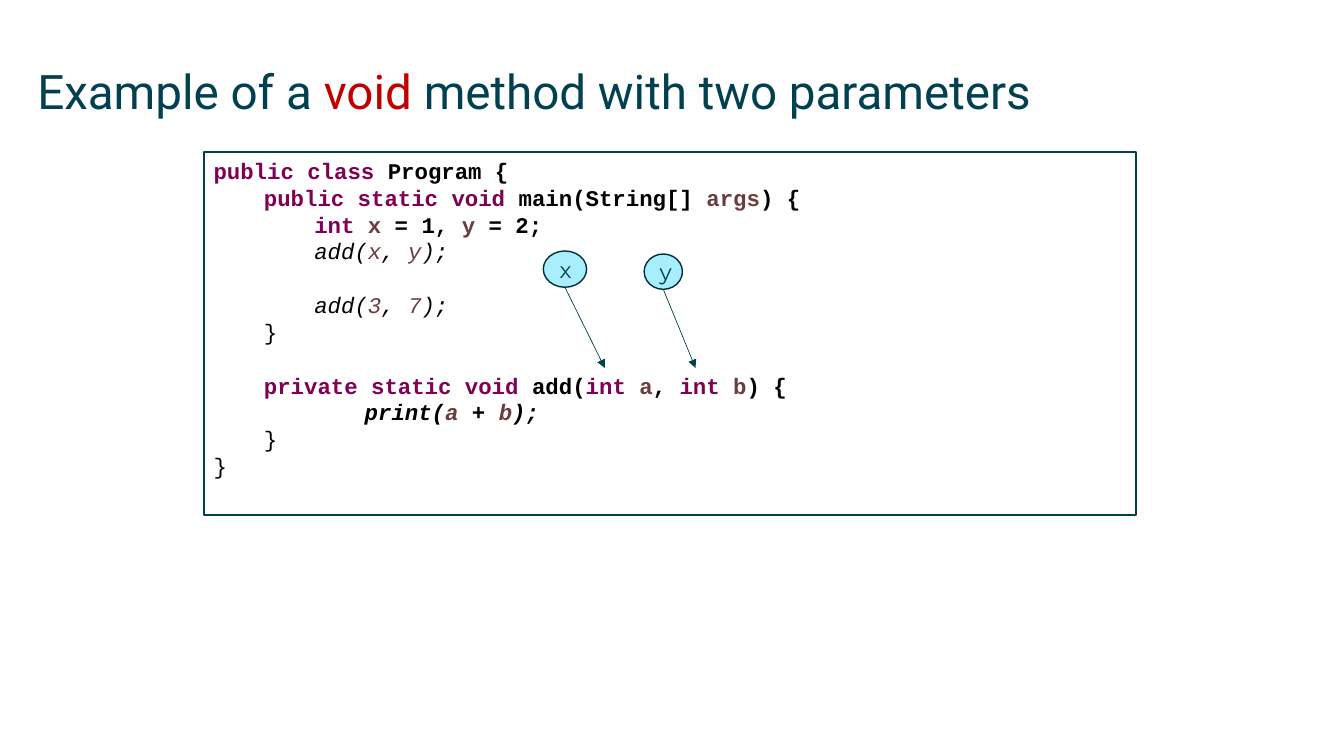
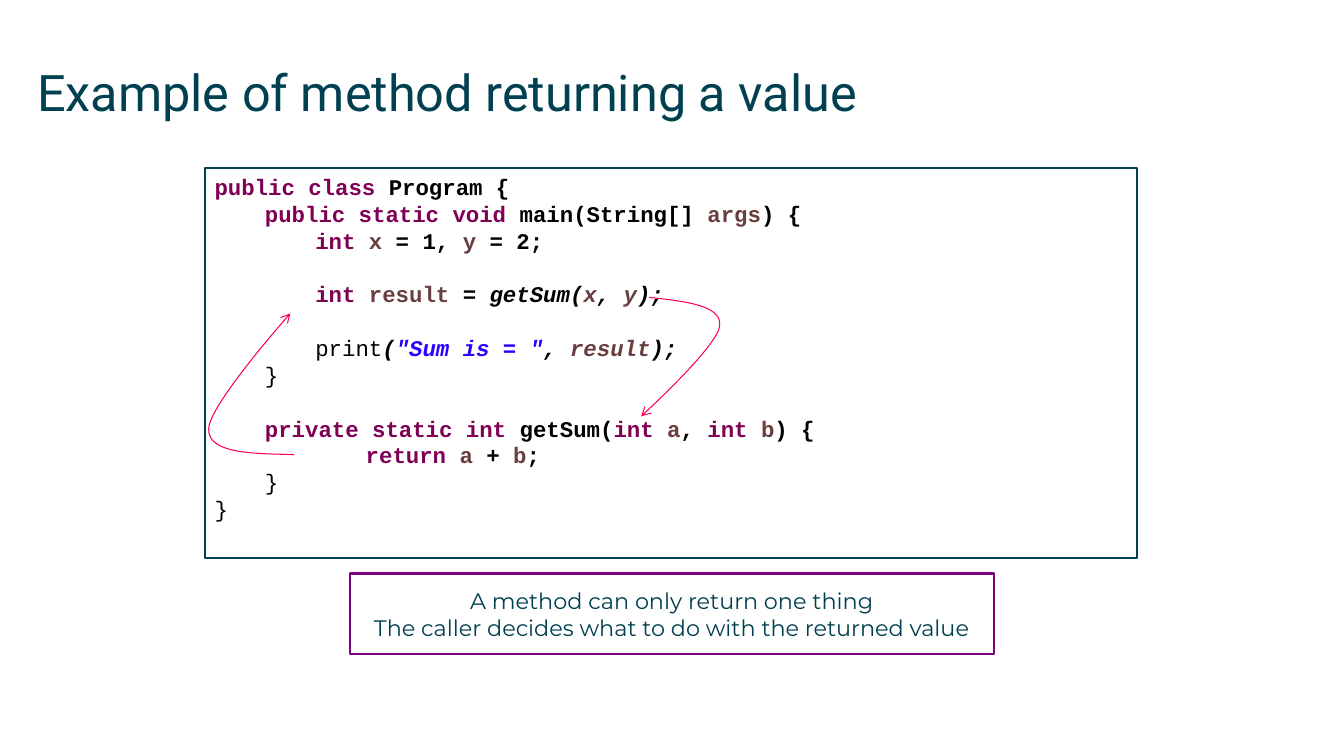
from dataclasses import dataclass

from lxml import etree
from pptx import Presentation
from pptx.dml.color import RGBColor
from pptx.enum import shapes, text
from pptx.oxml.ns import qn
from pptx.util import Pt


@dataclass(frozen=True)
class Theme:
    ink: str = "004050"
    accent: str = "C00000"
    paper: str = "FFFFFF"
    code: str = "000000"
    keyword: str = "7F0055"
    variable: str = "6A3E3E"
    string: str = "2A00FF"
    bubble: str = "A9EEFF"
    bubble_edge: str = "002F3B"
    note_edge: str = "7E007C"
    flow: str = "FF004C"
    title_font: str = "Roboto"
    body_font: str = "Montserrat"
    code_font: str = "Courier New"
    body_size: float = 16
    code_line: float = 19.16
    code_indent: float = 36


THEME = Theme()
CODE_TONES = {"#": THEME.keyword, "@": THEME.variable, "$": THEME.string}
TITLE_BOX = (26.64, 43.92, 921, 63.36)

# A code line is: indent level, blank lines above, then (style, marked text) pairs.
# In marked text "|" parts the spans; "#", "@" and "$" open a toned span.
PROGRAM_HEAD = [
    (0, 0, ("b", "#public class| Program {")),
    (1, 0, ("b", "#public static void| main(String[] |@args|) {")),
    (2, 0, ("b", "#int |@x| = 1, |@y| = 2;")),
]
PROGRAM_END = [(1, 0, ("", "}")), (0, 0, ("", "}"))]

VOID_CODE = PROGRAM_HEAD + [
    (2, 0, ("i", "add(|@x|, |@y|);")),
    (2, 1, ("i", "add(|@3|, |@7|);")),
    (1, 0, ("", "}")),
    (1, 1, ("b", "#private static void| add(|#int |@a|, |#int |@b|) {")),
    (3, 0, ("bi", "print(|@a| + |@b|);")),
] + PROGRAM_END

RETURN_CODE = PROGRAM_HEAD + [
    (2, 1, ("b", "#int |@result| = "), ("bi", "getSum(|@x|, |@y|);")),
    (2, 1, ("", "print"), ("bi", '(|$"Sum is = "|, |@result|);')),
    (1, 0, ("", "}")),
    (1, 1, ("b", "#private static int |getSum(|#int |@a|, |#int |@b|) {")),
    (3, 0, ("b", "#return |@a| + |@b|;")),
] + PROGRAM_END


def rgb(color):
    return RGBColor.from_string(color)


def add_span(para, words, color, name, size, **formats):
    span = para.add_run()
    span.text = words
    span.font.color.rgb = rgb(color)
    for key, value in {"name": name, "size": Pt(size), **formats}.items():
        setattr(span.font, key, value)


def set_line(shape, color, width, arrow=None):
    shape.line.color.rgb = rgb(color)
    shape.line.width = Pt(width)
    if arrow:
        line = shape.element.spPr.get_or_add_ln()
        etree.SubElement(line, qn("a:tailEnd"), type=arrow)


def add_panel(page, kind, box, fill, edge, width,
              anchor=text.MSO_ANCHOR.MIDDLE):
    panel = page.shapes.add_shape(kind, *map(Pt, box))
    panel.shadow.inherit = False
    panel.fill.solid()
    panel.fill.fore_color.rgb = rgb(fill)
    set_line(panel, edge, width)
    panel.text_frame.word_wrap = True
    panel.text_frame.vertical_anchor = anchor
    return panel


def add_title(page, size, *spans):
    frame = page.shapes.add_textbox(*map(Pt, TITLE_BOX)).text_frame
    for key in ("margin_left", "margin_top", "margin_right", "margin_bottom"):
        setattr(frame, key, 0)
    frame.word_wrap = True
    for words, color in spans:
        add_span(frame.paragraphs[0], words, color, THEME.title_font, size)


def add_lines(frame, lines):
    """Fill a frame with centred body lines."""
    for index, words in enumerate(lines):
        para = frame.add_paragraph() if index else frame.paragraphs[0]
        para.alignment = text.PP_ALIGN.CENTER
        add_span(para, words, THEME.ink, THEME.body_font, THEME.body_size)


def add_code(page, box, lines):
    panel = add_panel(page, shapes.MSO_SHAPE.RECTANGLE, box, THEME.paper,
                      THEME.ink, 1.5, text.MSO_ANCHOR.TOP)
    frame = panel.text_frame
    for index, (level, blanks, *segments) in enumerate(lines):
        para = frame.add_paragraph() if index else frame.paragraphs[0]
        formats = {
            "alignment": text.PP_ALIGN.LEFT,
            "line_spacing": Pt(THEME.code_line),
            "space_before": Pt(blanks * THEME.code_line),
        }
        for key, value in formats.items():
            setattr(para, key, value)
        properties = para._p.get_or_add_pPr()
        properties.set("marL", str(Pt(level * THEME.code_indent)))
        properties.set("indent", "0")
        for style, marked in segments:
            for part in marked.split("|"):
                tone = CODE_TONES.get(part[0])
                add_span(para, part[1:] if tone else part, tone or THEME.code,
                         THEME.code_font, THEME.body_size,
                         bold="b" in style, italic="i" in style)


def add_argument(page, box, name, offset, size, target):
    """Draw a named bubble and its arrow to a parameter, relative to the box."""
    left, top = box[0] + offset[0], box[1] + offset[1]
    width, height = size
    bubble = add_panel(page, shapes.MSO_SHAPE.OVAL, (left, top, width, height),
                       THEME.bubble, THEME.bubble_edge, 1)
    add_lines(bubble.text_frame, [name])
    ends = (left + width / 2, top + height, box[0] + target[0], box[1] + target[1])
    arrow = page.shapes.add_connector(shapes.MSO_CONNECTOR.STRAIGHT, *map(Pt, ends))
    set_line(arrow, THEME.ink, 0.5, "triangle")
    etree.SubElement(arrow.element.spPr, qn("a:effectLst"))


def bezier(points, steps=24):
    """Return the points along a cubic curve, without its start."""
    curve = []
    for step in range(1, steps + 1):
        t = step / steps
        weights = ((1 - t) ** 3, 3 * t * (1 - t) ** 2, 3 * t * t * (1 - t), t ** 3)
        curve.append(tuple(sum(w * point[axis] for w, point in zip(weights, points))
                           for axis in (0, 1)))
    return curve


def add_flow(page, box, points):
    """Draw a curved arrow through two joined cubics, relative to the box."""
    placed = [(Pt(box[0] + x), Pt(box[1] + y)) for x, y in points]
    builder = page.shapes.build_freeform(*placed[0])
    builder.add_line_segments(bezier(placed[:4]) + bezier(placed[3:]), close=False)
    arrow = builder.convert_to_shape()
    arrow.shadow.inherit = False
    arrow.fill.background()
    set_line(arrow, THEME.flow, 0.75, "arrow")


def void_slide(page, box):
    add_title(page, 34, ("Example of a ", THEME.ink), ("void ", THEME.accent),
              ("method with two parameters", THEME.ink))
    add_code(page, box, VOID_CODE)
    add_argument(page, box, "x", (242.64, 70.56), (30.96, 25.92), (286.56, 154.08))
    add_argument(page, box, "y", (314.64, 72.72), (27.36, 25.2), (351.36, 154.08))


def return_slide(page, box):
    add_title(page, 36, ("Example of method returning a value", THEME.ink))
    add_code(page, box, RETURN_CODE)
    note_box = (box[0] + 103.7, box[1] + box[3] + 10.8, 460, 57.6)
    note = add_panel(page, shapes.MSO_SHAPE.RECTANGLE, note_box, THEME.paper,
                     THEME.note_edge, 1.5)
    add_lines(note.text_frame, ["A method can only return one thing",
                                "The caller decides what to do with the returned value"])
    call = [(317.5, 92.2), (343.4, 95), (369.4, 97.9), (367.9, 112.3),
            (367.2, 126.7), (311.8, 177.1), (311.8, 177.1)]
    answer = [(64.1, 204.5), (33.8, 203.8), (2.9, 203.8), (2.9, 186.5),
              (2.2, 169.9), (61.2, 103.7), (61.2, 103.7)]
    for points in (call, answer):
        add_flow(page, box, points)


def main():
    deck = Presentation()
    deck.slide_width, deck.slide_height = Pt(960), Pt(540)
    blank = deck.slide_layouts[6]
    void_slide(deck.slides.add_slide(blank), (145.44, 108.72, 666, 259.2))
    return_slide(deck.slides.add_slide(blank), (146.16, 120.24, 666, 278.64))
    deck.save("out.pptx")


if __name__ == "__main__":
    main()
